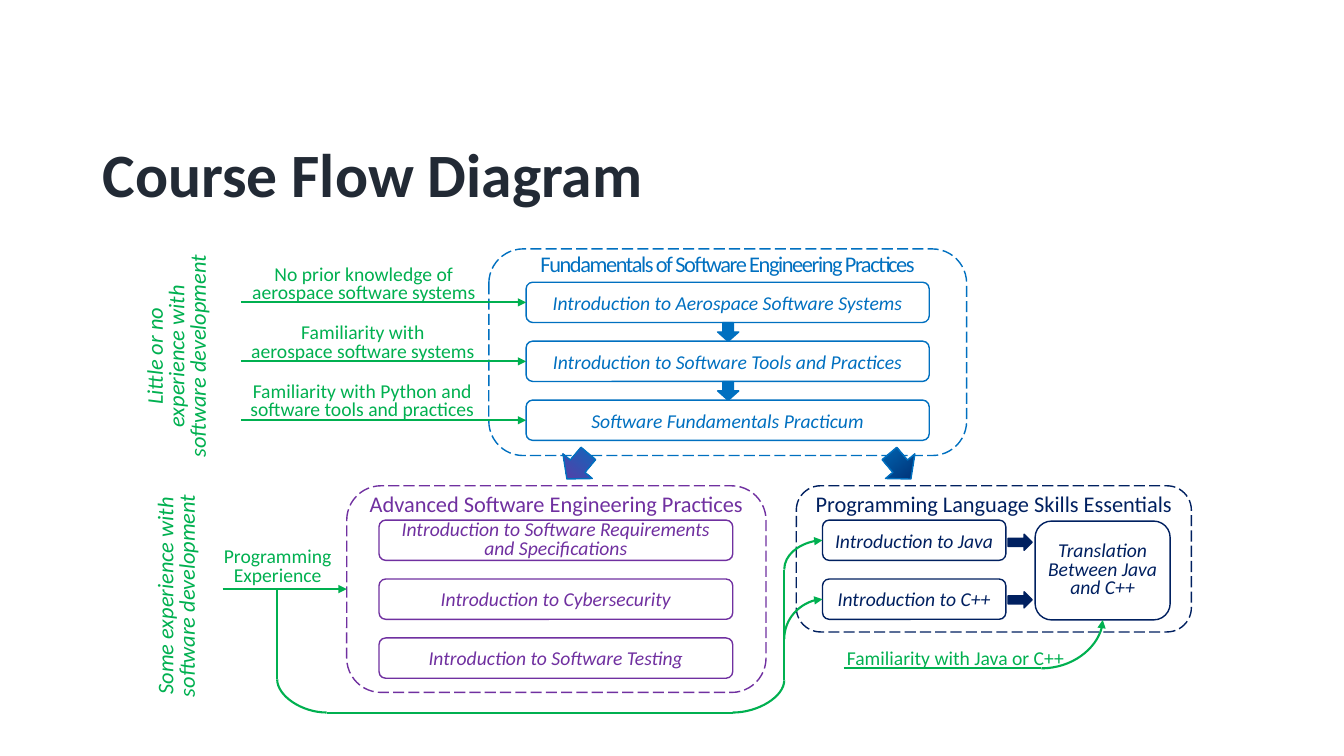
from pptx import Presentation
from pptx import util as u
from pptx.dml.color import RGBColor
from pptx.enum import dml, shapes, text
from pptx.oxml.ns import qn
from lxml import etree

Pt = u.Pt
INK = RGBColor(0x22, 0x2A, 0x35)
BLUE = RGBColor(0x00, 0x70, 0xC0)
PURPLE = RGBColor(0x70, 0x30, 0xA0)
NAVY = RGBColor(0x00, 0x20, 0x60)
GREEN = RGBColor(0x00, 0xB0, 0x50)
ROUNDED = shapes.MSO_SHAPE.ROUNDED_RECTANGLE
ARROW = shapes.MSO_SHAPE.DOWN_ARROW
STRAIGHT = shapes.MSO_CONNECTOR.STRAIGHT
CURVE = shapes.MSO_CONNECTOR.CURVE

deck = Presentation()
deck.slide_width, deck.slide_height = Pt(960), Pt(540)
slide = deck.slides.add_slide(deck.slide_layouts[6])


def outline(kind, left, top, width, height, colour):
    shape = slide.shapes.add_shape(kind, Pt(left), Pt(top), Pt(width), Pt(height))
    shape.shadow.inherit = False
    shape.fill.background()
    shape.line.color.rgb = colour
    shape.line.width = Pt(1)
    return shape


def write(shape, wording, size, colour, italic=False, spacing=1.0, margin=0):
    frame = shape.text_frame
    frame.text = wording
    frame.word_wrap = True
    frame.margin_left = frame.margin_right = Pt(margin)
    for paragraph in frame.paragraphs:
        paragraph.alignment = text.PP_ALIGN.CENTER
        paragraph.line_spacing = spacing
        font = paragraph.runs[0].font
        font.name, font.size, font.italic = "Calibri", Pt(size), italic
        font.color.rgb = colour


title = slide.shapes.add_textbox(Pt(66.2), Pt(103), Pt(828), Pt(48.2))
write(title, "Course Flow Diagram", 44, INK, spacing=0.9, margin=7.2)
title.text_frame.vertical_anchor = text.MSO_ANCHOR.MIDDLE
title.text_frame.paragraphs[0].alignment = text.PP_ALIGN.LEFT
title.text_frame.paragraphs[0].runs[0].font.bold = True

ROW_STEP, COURSE_HEIGHT = 42.1, 28.8
UPPER_ROW, LOWER_ROW = 201.6, 371.5

programs = [
    ("Fundamentals of Software Engineering Practices", BLUE,
     (349.2, 177.8, 341.3, 147.6), 1.2, (375.8, UPPER_ROW, 288),
     ["Introduction to Aerospace Software Systems",
      "Introduction to Software Tools and Practices",
      "Software Fundamentals Practicum"]),
    ("Advanced Software Engineering Practices", PURPLE,
     (247.7, 347, 299.5, 147.6), 3.2, (270.7, LOWER_ROW, 252.7),
     ["Introduction to Software Requirements and Specifications",
      "Introduction to Cybersecurity",
      "Introduction to Software Testing"]),
    ("Programming Language Skills Essentials", NAVY,
     (568.8, 347, 282.2, 104.4), 3.2, (587.5, LOWER_ROW, 131),
     ["Introduction to Java", "Introduction to C++"]),
]
panels, courses = [], {}
for heading, colour, bounds, drop, (left, first_top, width), names in programs:
    panel = outline(ROUNDED, *bounds, colour)
    panel.line.dash_style = dml.MSO_LINE.LONG_DASH
    panels.append(panel)
    caption = slide.shapes.add_textbox(
        Pt(bounds[0]), Pt(bounds[1] + drop), Pt(bounds[2]), Pt(20))
    write(caption, heading, 16, colour)
    caption.text_frame.margin_top = caption.text_frame.margin_bottom = 0
    if colour == BLUE:
        caption.text_frame.paragraphs[0].runs[0].font._element.set("spc", "-100")
    for row, name in enumerate(names):
        course = outline(ROUNDED, left, first_top + row * ROW_STEP,
                         width, COURSE_HEIGHT, colour)
        write(course, name, 14, colour, True, 0.8 if "Requirements" in name else 1.0, 5)
        courses[name] = course

translation = outline(ROUNDED, 739.4, 372.2, 96.5, 70.6, NAVY)
write(translation, "Translation Between Java and C++", 14, NAVY, True, 0.8, 3.6)

block_arrows = [
    (512.6, UPPER_ROW + COURSE_HEIGHT, 15.1, 13.5, 0, BLUE, None),
    (512.6, UPPER_ROW + COURSE_HEIGHT + ROW_STEP, 15.1, 13.5, 0, BLUE, None),
    (722.9, 378.7, 11.5, 17.3, 270, NAVY, None),
    (722.9, 419.8, 11.5, 17.3, 270, NAVY, None),
    (629.3, 321.1, 27.4, 23.8, 320, BLUE, NAVY),
    (398.9, 321.1, 27.4, 23.8, 40, BLUE, PURPLE),
]
for left, top, width, height, turn, colour, fade in block_arrows:
    step = outline(ARROW, left, top, width, height, colour)
    step.rotation = turn
    if fade is None:
        step.fill.solid()
        step.fill.fore_color.rgb = colour
    else:
        step.fill.gradient()
        step.fill.gradient_angle = 270
        for stop, shade in zip(step.fill.gradient_stops, (colour, fade)):
            stop.color.rgb = shade

entry_labels = [
    ("No prior knowledge of\naerospace software systems", 172.1, 186.5, 175.7, 34.6),
    ("Familiarity with\naerospace software systems", 171.4, 228.2, 175.7, 34.6),
    ("Familiarity with Python and\nsoftware tools and practices", 170.6, 270, 176.4, 34.6),
    ("Programming Experience", 151.2, 388.1, 94.3, 34.6),
    ("Familiarity with Java or C++", 597.6, 460.8, 169.9, 20.9),
]
for wording, *bounds in entry_labels:
    label = slide.shapes.add_textbox(*map(Pt, bounds))
    write(label, wording, 14, GREEN, spacing=0.8)

audiences = [
    ("Little or no\nexperience with\nsoftware development", 227.5, 54),
    ("Some experience with\nsoftware development", 406.1, 38.9),
]
for wording, top, height in audiences:
    audience = slide.shapes.add_textbox(Pt(46.8), Pt(top), Pt(161.3), Pt(height))
    audience.rotation = 270
    write(audience, wording, 16, GREEN, True, 0.8)

EXPERIENCE_Y, LOOP_Y = 420.8, 509
LOOP_LEFT, LOOP_RIGHT = 198, 560.2
routes = [
    (STRAIGHT, 159, EXPERIENCE_Y, 247.7, EXPERIENCE_Y, "tailEnd", panels[1]),
    (STRAIGHT, LOOP_LEFT, EXPERIENCE_Y, LOOP_LEFT, 485.3, None, None),
    (CURVE, 233.3, LOOP_Y, LOOP_LEFT, 485.3, None, None),
    (STRAIGHT, 233.3, LOOP_Y, 523.4, LOOP_Y, None, None),
    (CURVE, 523.4, LOOP_Y, LOOP_RIGHT, 486, None, None),
    (STRAIGHT, LOOP_RIGHT, 486, LOOP_RIGHT, 406.8, None, None),
    (CURVE, 587.5, 385.9, LOOP_RIGHT, 406.8, "headEnd", None),
    (CURVE, 587.5, 428, LOOP_RIGHT, 456.5, "headEnd", None),
    (STRAIGHT, 602.6, 477.4, 743.8, 477.4, None, None),
    (CURVE, 743.8, 477.4, 787.7, 442.8, "tailEnd", None),
]
for row, name in enumerate(programs[0][-1]):
    entry_y = UPPER_ROW + COURSE_HEIGHT / 2 + row * ROW_STEP
    routes.append((STRAIGHT, 172.1, entry_y, 375.8, entry_y, "tailEnd", courses[name]))

for kind, x1, y1, x2, y2, arrowhead, target in routes:
    route = slide.shapes.add_connector(kind, Pt(x1), Pt(y1), Pt(x2), Pt(y2))
    if target is not None:
        route.end_connect(target, 1)
    route.line.color.rgb = GREEN
    route.line.width = Pt(1.5)
    properties = route._element.spPr
    if kind == CURVE:
        properties.find(qn("a:prstGeom")).set("prst", "curvedConnector2")
    if arrowhead:
        etree.SubElement(properties.find(qn("a:ln")), qn("a:" + arrowhead), type="triangle")
    etree.SubElement(properties, qn("a:effectLst"))

deck.save("out.pptx")
